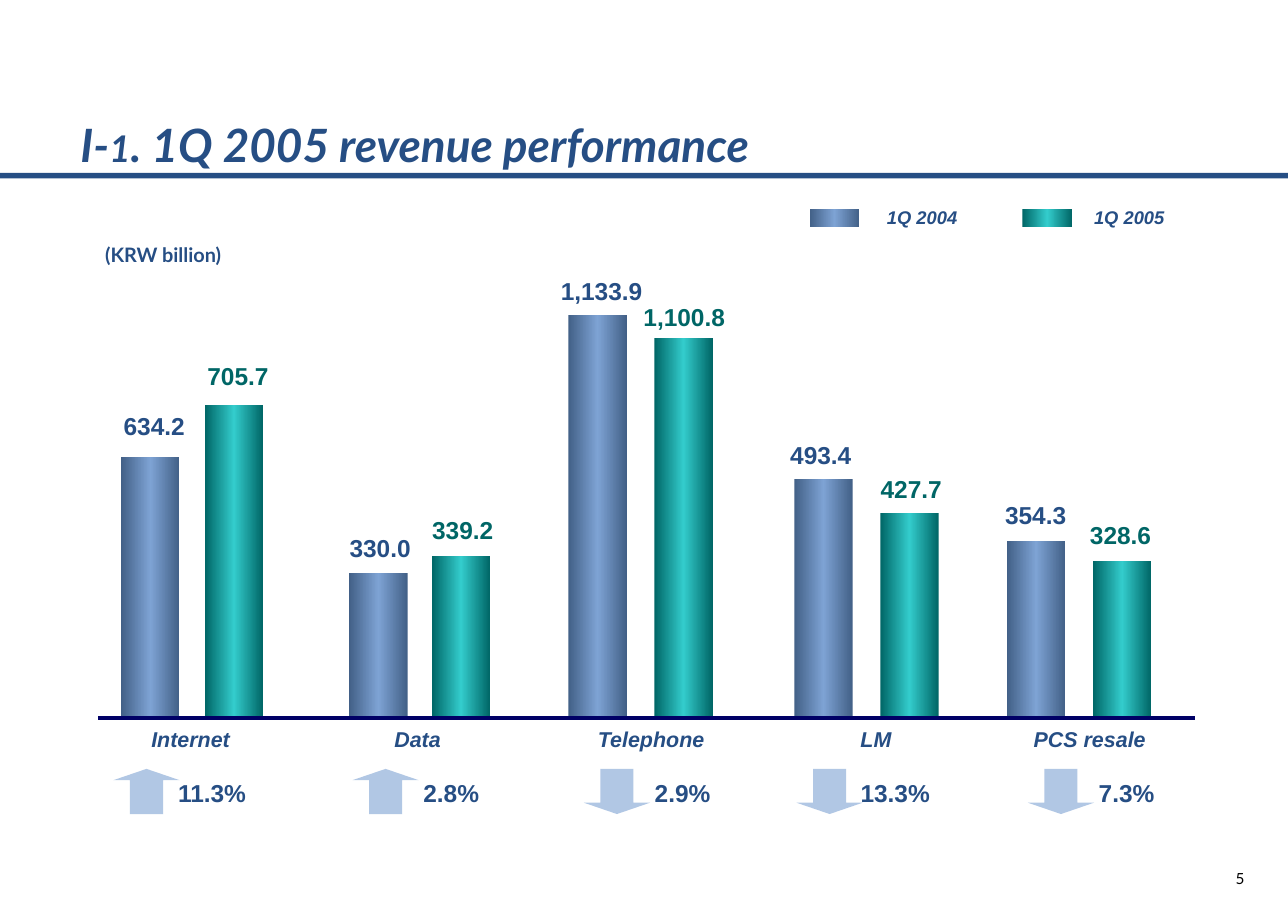
from collections import namedtuple
from copy import deepcopy
from dataclasses import dataclass

from lxml.etree import SubElement
from pptx import Presentation
from pptx.dml.color import RGBColor
from pptx.enum.shapes import MSO_CONNECTOR, MSO_SHAPE
from pptx.enum.text import MSO_ANCHOR as ANCHOR, MSO_AUTO_SIZE as AUTO, PP_ALIGN as ALIGN
from pptx.oxml.ns import qn
from pptx.util import Pt

PX = 9144  # EMU in one px, 100 px to the inch
SLIDE_W, SLIDE_H = 1169, 827
TITLE_ONLY = 5

BASELINE = 652
BAR_W = 53
NUMBER_H = 23
CATEGORY_W, CATEGORY_TOP = 182, 663
ARROW_TOP, ARROW_W, ARROW_H = 698, 60, 41
CHANGE_TOP, CHANGE_OFFSET = 710, 89


@dataclass(frozen=True)
class Theme:
    navy: str = "264E84"
    teal: str = "006666"
    axis: str = "000066"
    arrow: str = "6490CB"
    black: str = "000000"
    blue_bar: tuple = ("426087", "7EA3D4", "426087")
    teal_bar: tuple = ("006666", "33CCCC", "006666")
    heading_font: str = "Lato"
    body_font: str = "Arial"
    title: int = 30
    title_small: int = 24
    number: int = 16
    category: int = 14
    unit: int = 13
    legend: int = 12
    page: int = 10


Bar = namedtuple("Bar", "value left top label_centre label_top")
Segment = namedtuple("Segment", "name centre arrow_left change rises bars")

SEGMENTS = [
    Segment("Internet", 173, 103, "11.3%", True,
            [Bar("634.2", 110, 415, 140, 377), Bar("705.7", 186, 368, 216, 332)]),
    Segment("Data", 379, 320, "2.8%", True,
            [Bar("330.0", 317, 520, 345, 488), Bar("339.2", 392, 505, 420, 472)]),
    Segment("Telephone", 591, 530, "2.9%", False,
            [Bar("1,133.9", 516, 286, 546, 255), Bar("1,100.8", 594, 307, 621, 278)]),
    Segment("LM", 795, 723, "13.3%", False,
            [Bar("493.4", 721, 435, 745, 404), Bar("427.7", 799, 466, 827, 434)]),
    Segment("PCS resale", 989, 933, "7.3%", False,
            [Bar("354.3", 914, 491, 940, 458), Bar("328.6", 992, 509, 1017, 476)]),
]


def write(tf, runs, *, size, color, font, bold=True, italic=False,
          align=ALIGN.CENTER, anchor=ANCHOR.TOP, spacing=None, wrap=True):
    """Fill a text frame with one paragraph of (text, size) runs or a plain string."""
    tf.auto_size = AUTO.NONE
    tf.word_wrap = wrap
    tf.vertical_anchor = anchor
    tf.margin_left = tf.margin_top = tf.margin_right = tf.margin_bottom = 0
    p = tf.paragraphs[0]
    p.alignment = align
    p.line_spacing = spacing
    for text, run_size in [(runs, size)] if isinstance(runs, str) else runs:
        r = p.add_run()
        r.text = text
        r.font.size = Pt(run_size)
        r.font.name = font
        r.font.bold = bold
        r.font.italic = italic
        r.font.color.rgb = RGBColor.from_string(color)


def number_width(text):
    """Width in px of a bold figure at the number size."""
    return round(sum({",": 6.2, ".": 6.2, "%": 19.8}.get(c, 12.4) for c in text))


class Deck:
    def __init__(self, theme):
        self.theme = theme
        self.prs = Presentation()
        self.prs.slide_width, self.prs.slide_height = SLIDE_W * PX, SLIDE_H * PX
        self.slide = self.prs.slides.add_slide(self.prs.slide_layouts[TITLE_ONLY])

    def title(self, runs, x, y, w, h):
        sp = self.slide.shapes.title
        sp.left, sp.top, sp.width, sp.height = (v * PX for v in (x, y, w, h))
        write(sp.text_frame, runs, size=self.theme.title, color=self.theme.navy,
              font=self.theme.heading_font, italic=True, align=ALIGN.LEFT,
              anchor=ANCHOR.BOTTOM, spacing=Pt(31.9))

    def text(self, text, x, y, w, h, **style):
        sp = self.slide.shapes.add_textbox(*(v * PX for v in (x, y, w, h)))
        style = {"color": self.theme.navy, "font": self.theme.body_font,
                 "spacing": 0.85, **style}
        write(sp.text_frame, text, **style)

    def number(self, text, centre, y, color):
        w = number_width(text)
        self.text(text, centre - w // 2, y, w, NUMBER_H,
                  size=self.theme.number, color=color, wrap=False)

    def shape(self, kind, x, y, w, h):
        sp = self.slide.shapes.add_shape(kind, *(v * PX for v in (x, y, w, h)))
        sp.shadow.inherit = False
        sp.line.fill.background()
        return sp

    def block(self, x, y, w, h, color):
        sp = self.shape(MSO_SHAPE.RECTANGLE, x, y, w, h)
        sp.fill.solid()
        sp.fill.fore_color.rgb = RGBColor.from_string(color)

    def cylinder(self, x, y, w, h, colors):
        """Rectangle shaded from edge to middle to edge."""
        sp = self.shape(MSO_SHAPE.RECTANGLE, x, y, w, h)
        sp.fill.gradient()
        sp.fill.gradient_angle = 0
        stops = sp._element.spPr.find(".//" + qn("a:gsLst"))
        stops.append(deepcopy(stops[0]))
        for stop, color, position in zip(sp.fill.gradient_stops, colors, (0, 0.5, 1)):
            stop.color.rgb = RGBColor.from_string(color)
            stop.position = position

    def arrow(self, x, y, w, h, rises):
        sp = self.shape(MSO_SHAPE.UP_ARROW if rises else MSO_SHAPE.DOWN_ARROW, x, y, w, h)
        sp.adjustments[0], sp.adjustments[1] = 0.5, 0.25
        sp.fill.solid()
        sp.fill.fore_color.rgb = RGBColor.from_string(self.theme.arrow)
        color = sp._element.spPr.find(".//" + qn("a:srgbClr"))
        SubElement(color, qn("a:alpha"), val="50000")

    def line(self, x1, y1, x2, y2, color, width):
        cn = self.slide.shapes.add_connector(
            MSO_CONNECTOR.STRAIGHT, *(v * PX for v in (x1, y1, x2, y2)))
        cn.line.color.rgb = RGBColor.from_string(color)
        cn.line.width = Pt(width)
        SubElement(cn._element.spPr, qn("a:effectLst"))


def main():
    theme = Theme()
    deck = Deck(theme)
    series = [(theme.blue_bar, theme.navy), (theme.teal_bar, theme.teal)]

    deck.block(0, 157, SLIDE_W, 5, theme.navy)
    deck.title([("I-", theme.title), ("1", theme.title_small),
                (". 1Q 2005 revenue performance", theme.title)], 73, 112, 1019, 44)
    deck.text("(KRW billion)", 74, 220, 148, 23, size=theme.unit,
              font=theme.heading_font, spacing=1.0)

    legend = [("1Q 2004", 735, 837), ("1Q 2005", 928, 1025)]
    for (name, left, centre), (shades, _) in zip(legend, series):
        deck.cylinder(left, 190, 45, 16, shades)
        deck.text(name, centre - 50, 190, 100, 17, size=theme.legend, italic=True)

    for seg in SEGMENTS:
        for bar, (shades, color) in zip(seg.bars, series):
            deck.cylinder(bar.left, bar.top, BAR_W, BASELINE - bar.top, shades)
            deck.number(bar.value, bar.label_centre, bar.label_top, color)
        deck.text(seg.name, seg.centre - CATEGORY_W // 2, CATEGORY_TOP, CATEGORY_W, 20,
                  size=theme.category, italic=True)
        deck.arrow(seg.arrow_left, ARROW_TOP, ARROW_W, ARROW_H, seg.rises)
        deck.number(seg.change, seg.arrow_left + CHANGE_OFFSET, CHANGE_TOP, theme.navy)
    deck.line(89, BASELINE, 1085, BASELINE, theme.axis, 2.25)

    deck.text("5", 1092, 788, 67, 21, size=theme.page, color=theme.black,
              font=theme.heading_font, bold=False, spacing=1.05)
    deck.prs.save("out.pptx")


if __name__ == "__main__":
    main()
